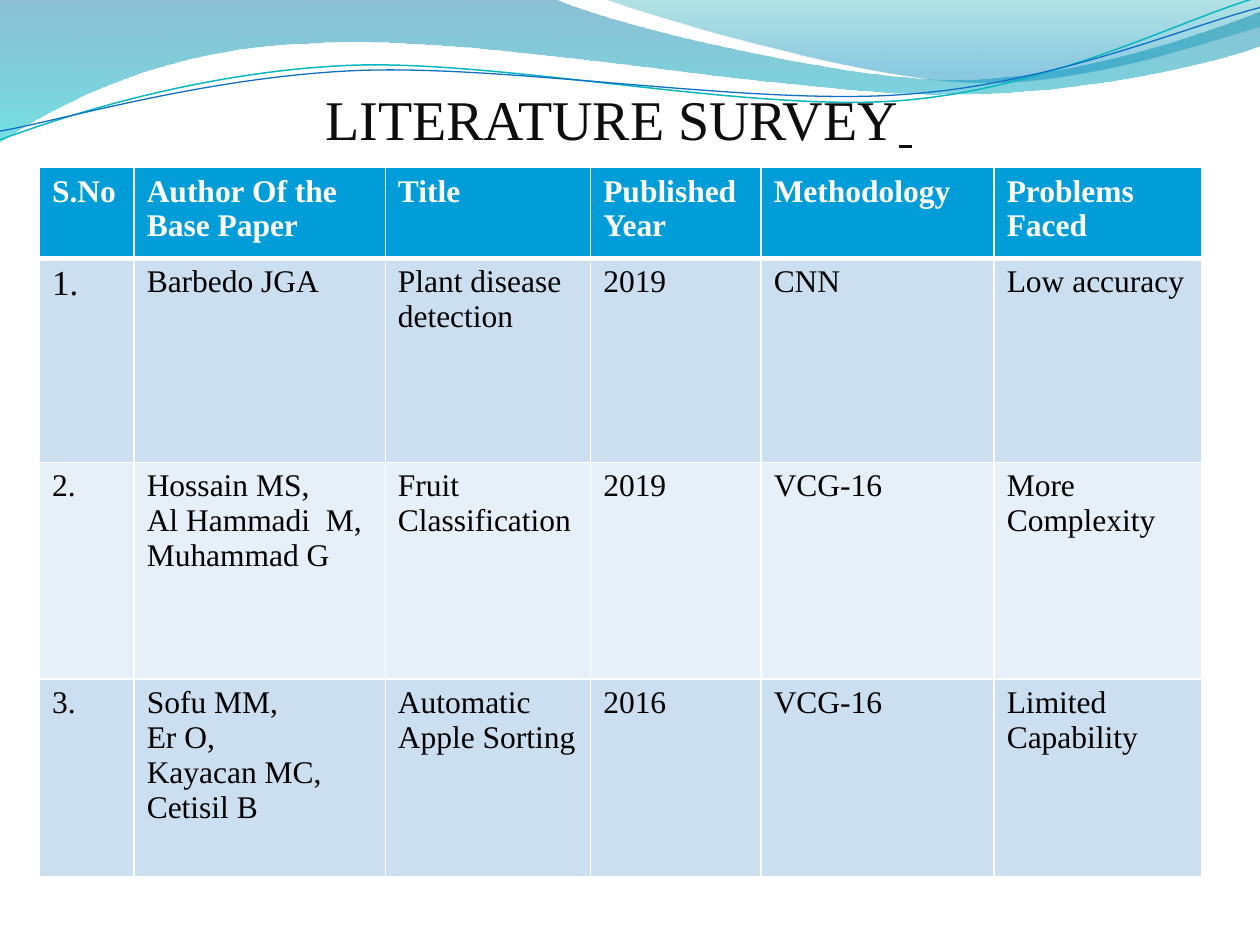
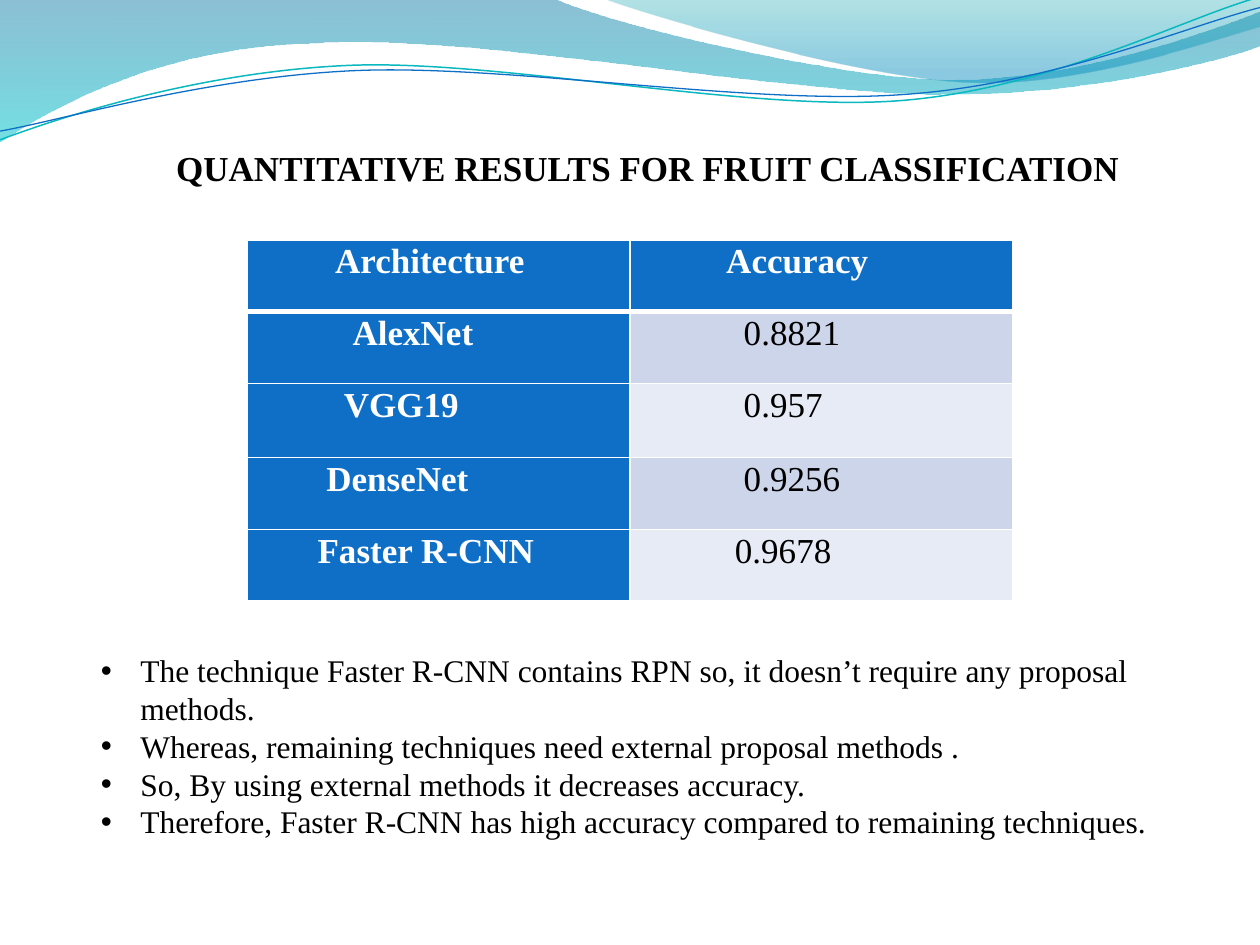
from lxml.etree import SubElement
from pptx import Presentation
from pptx.dml.color import RGBColor
from pptx.enum.text import MSO_ANCHOR, PP_ALIGN
from pptx.oxml.ns import qn
from pptx.util import Pt

FONT = "Times New Roman"
BLACK = RGBColor(0x00, 0x00, 0x00)
INK = RGBColor(0x0D, 0x0D, 0x0D)
WHITE = RGBColor(0xFF, 0xFF, 0xFF)
BLUE = RGBColor(0x0F, 0x6F, 0xC6)
SKY = RGBColor(0x00, 0x9D, 0xD9)
TEAL = RGBColor(0x0A, 0xB8, 0xBF)
SURVEY_BANDS = (RGBColor(0xCC, 0xDF, 0xF1), RGBColor(0xE7, 0xEF, 0xF8))
RESULT_BANDS = (RGBColor(0xCC, 0xD5, 0xEA), RGBColor(0xE7, 0xEB, 0xF5))

# Outlines in points: a pair is a straight step, six numbers are a Bézier curve.
WIDE_WAVE = [
    (0, 0), (316.8, -0.7),
    (342.7, 12.2, 478.1, 45.4, 545.8, 45.4),
    (614.2, 45.4, 689.8, 18.7, 720, 6.5),
    (720.7, 25.9),
    (707.8, 31.7, 626.4, 54.7, 537.1, 54),
    (447.8, 54, 275, 20.2, 185, 24.5),
    (92.9, 25.9, 33.1, 59.8, -0.7, 81.4),
    (0, 0),
]
RIGHT_WAVE = [
    (344.9, -0.7),
    (366.5, 7.9, 491, 44.6, 553.7, 46.8),
    (616.3, 49.7, 691.9, 23, 720, 15.1),
    (720, 0), (344.9, -0.7),
]
TEAL_LINE = [
    (0, 79.9),
    (34.6, 67, 113.8, 41, 199.4, 37.4),
    (284.4, 33.8, 427, 64.1, 513.4, 57.6),
    (599.8, 51.1, 675.4, 10.8, 718.6, -1.4),
]
BLUE_LINE = [
    (0, 74.9),
    (33.8, 69.1, 118.1, 43.9, 203.8, 40.3),
    (290.2, 36.7, 429.8, 60.5, 516.2, 54),
    (601.9, 48.2, 677.5, 15.1, 720, 4.3),
]
WIDE_STOPS = [(0, RGBColor(0x00, 0x74, 0xA1), 45), (1, RGBColor(0x00, 0xC6, 0xCF), 55)]
RIGHT_STOPS = [(0, RGBColor(0x00, 0xA1, 0xA9), 30), (0.8, RGBColor(0x00, 0x8B, 0xBF), 45)]

SURVEY_ROWS = [
    ["S.No", "Author Of the Base Paper", "Title", "Published Year",
     "Methodology", "Problems Faced"],
    ["1.", "Barbedo JGA", "Plant disease detection", "2019", "CNN", "Low accuracy"],
    ["2.", "Hossain MS,\nAl Hammadi  M,\nMuhammad G", "Fruit Classification",
     "2019", "VCG-16", "More Complexity"],
    ["3.", "Sofu MM,\nEr O,\nKayacan MC,\nCetisil B", "Automatic Apple Sorting",
     "2016", "VCG-16", "Limited Capability"],
]
RESULT_ROWS = [
    ["Architecture", "Accuracy"],
    ["AlexNet", "0.8821"],
    ["VGG19", "0.957"],
    ["DenseNet", "0.9256"],
    ["Faster R-CNN", "0.9678"],
]
RESULT_INDENTS = [(45, 50), (55, 60), (50, 60), (40, 60), (35, 55)]
CONTINUATION = "methods."
FINDINGS = [
    "The technique Faster R-CNN contains RPN so, it doesn’t require any proposal",
    CONTINUATION,
    "Whereas, remaining techniques need external proposal methods .",
    "So, By using external methods it decreases accuracy.",
    "Therefore, Faster R-CNN has high accuracy compared to remaining techniques.",
]


def add_outline(slide, outline, close):
    """Add a freeform, turning the steps of each curve into one Bézier segment."""
    points = [(Pt(part[i]), Pt(part[i + 1]))
              for part in outline for i in range(0, len(part), 2)]
    builder = slide.shapes.build_freeform(*points[0], scale=1.0)
    builder.add_line_segments(points[1:], close=close)
    shape = builder.convert_to_shape()
    shape.shadow.inherit = False
    steps = iter(list(shape._element.spPr.iter(qn("a:lnTo"))))
    for part in outline[1:]:
        segment = next(steps)
        if len(part) == 6:
            segment.tag = qn("a:cubicBezTo")
            for _ in range(2):
                extra = next(steps)
                segment.append(extra[0])
                extra.getparent().remove(extra)
    return shape


def add_wave(slide, outline, stops):
    """Add a closed wave with a see-through gradient from top to bottom."""
    shape = add_outline(slide, outline, True)
    shape.line.fill.background()
    shape.fill.gradient()
    shape.fill.gradient_angle = 270
    for stop, (position, color, _) in zip(shape.fill.gradient_stops, stops):
        stop.position = position
        stop.color.rgb = color
    colors = shape._element.spPr.iter(qn("a:srgbClr"))
    for color_element, (_, _, opacity) in zip(list(colors), stops):
        SubElement(color_element, qn("a:alpha"), val=str(opacity * 1000))


def add_wave_line(slide, outline, color, width):
    shape = add_outline(slide, outline, False)
    shape.fill.background()
    shape.line.color.rgb = color
    shape.line.width = Pt(width)


def add_wave_slide(presentation):
    """Add a blank slide with the wave band along its top."""
    slide = presentation.slides.add_slide(presentation.slide_layouts[6])
    add_wave(slide, WIDE_WAVE, WIDE_STOPS)
    add_wave(slide, RIGHT_WAVE, RIGHT_STOPS)
    add_wave_line(slide, TEAL_LINE, TEAL, 0.85)
    add_wave_line(slide, BLUE_LINE, BLUE, 0.75)
    return slide


def format_text(text_frame, size, color, bold=False):
    for paragraph in text_frame.paragraphs:
        for run in paragraph.runs:
            run.font.name = FONT
            run.font.size = Pt(size)
            run.font.bold = bold
            run.font.color.rgb = color


def add_text(slide, left, top, width, height, text, wrap=True):
    box = slide.shapes.add_textbox(Pt(left), Pt(top), Pt(width), Pt(height))
    text_frame = box.text_frame
    text_frame.word_wrap = wrap
    text_frame.vertical_anchor = MSO_ANCHOR.TOP
    text_frame.text = text
    return text_frame


def indent_finding(paragraph, indent, bulleted):
    properties = paragraph._p.get_or_add_pPr()
    properties.set("marL", str(Pt(indent)))
    properties.set("indent", str(-Pt(indent) if bulleted else 0))
    if bulleted:
        SubElement(properties, qn("a:buFont"), typeface="Arial")
        SubElement(properties, qn("a:buChar"), char="•")


def set_borders(cell, top, bottom):
    """Give a cell white borders; the sides are 1 point wide."""
    properties = cell._tc.get_or_add_tcPr()
    widths = {"a:lnL": 1, "a:lnR": 1, "a:lnT": top, "a:lnB": bottom}
    for position, (tag, width) in enumerate(widths.items()):
        border = SubElement(properties, qn(tag), w=str(Pt(width)))
        fill = SubElement(border, qn("a:solidFill"))
        SubElement(fill, qn("a:srgbClr"), val=str(WHITE))
        properties.insert(position, border)


def add_banded_table(slide, left, top, widths, heights, rows, size, accent, bands,
                     accent_column=False):
    """Add a table with a coloured header row and, if asked, first column."""
    frame = slide.shapes.add_table(
        len(rows), len(widths), Pt(left), Pt(top), Pt(sum(widths)), Pt(sum(heights)))
    table = frame.table
    for column, width in zip(table.columns, widths):
        column.width = Pt(width)
    for row, height in zip(table.rows, heights):
        row.height = Pt(height)
    for row_index, texts in enumerate(rows):
        for column_index, text in enumerate(texts):
            cell = table.cell(row_index, column_index)
            accented = row_index == 0 or (accent_column and column_index == 0)
            cell.text_frame.text = text
            format_text(cell.text_frame, size, WHITE if accented else BLACK, accented)
            cell.fill.solid()
            cell.fill.fore_color.rgb = accent if accented else bands[(row_index - 1) % 2]
            set_borders(cell, 3 if row_index == 1 else 1, 3 if row_index == 0 else 1)
    return table


def build_survey_slide(presentation):
    slide = add_wave_slide(presentation)
    title = add_text(slide, 28.3, 44.6, 650.9, 58.3, "LITERATURE SURVEY")
    heading = title.paragraphs[0]
    heading.alignment = PP_ALIGN.CENTER
    underlined_end = heading.add_run()
    underlined_end.text = " "
    underlined_end.font.underline = True
    format_text(title, 32, INK)
    table = add_banded_table(
        slide, 22.6, 95.8, [54.1, 143.5, 117.4, 97.4, 133.2, 118.4],
        [51.8, 116.6, 123.9, 113], SURVEY_ROWS, 18, SKY, SURVEY_BANDS)
    format_text(table.cell(1, 0).text_frame, 20, BLACK)


def build_results_slide(presentation):
    slide = add_wave_slide(presentation)
    title = add_text(slide, 93.6, 79.9, 558.7, 31.7,
                     "QUANTITATIVE RESULTS FOR FRUIT CLASSIFICATION", wrap=False)
    format_text(title, 20, BLACK, bold=True)
    table = add_banded_table(
        slide, 141.5, 137.1, [218.5, 218.5], [41, 41, 42.4, 41, 41],
        RESULT_ROWS, 20, BLUE, RESULT_BANDS, accent_column=True)
    for row_index, indents in enumerate(RESULT_INDENTS):
        for column_index, indent in enumerate(indents):
            cell = table.cell(row_index, column_index)
            cell.margin_left = Pt(5 + indent)
            cell.margin_right = Pt(5)
            cell.margin_top = cell.margin_bottom = 0
            paragraph = cell.text_frame.paragraphs[0]
            paragraph.line_spacing = 1.07
            paragraph.space_after = Pt(8)
    findings = add_text(slide, 50.6, 368.6, 618.5, 138.2, "\n".join(FINDINGS))
    for paragraph in findings.paragraphs:
        paragraph.alignment = PP_ALIGN.JUSTIFY
        indent_finding(paragraph, 22.5, paragraph.text != CONTINUATION)
    format_text(findings, 18, BLACK)


def main():
    presentation = Presentation()
    presentation.slide_width = Pt(720)
    presentation.slide_height = Pt(540)
    build_survey_slide(presentation)
    build_results_slide(presentation)
    presentation.save("out.pptx")


if __name__ == "__main__":
    main()
